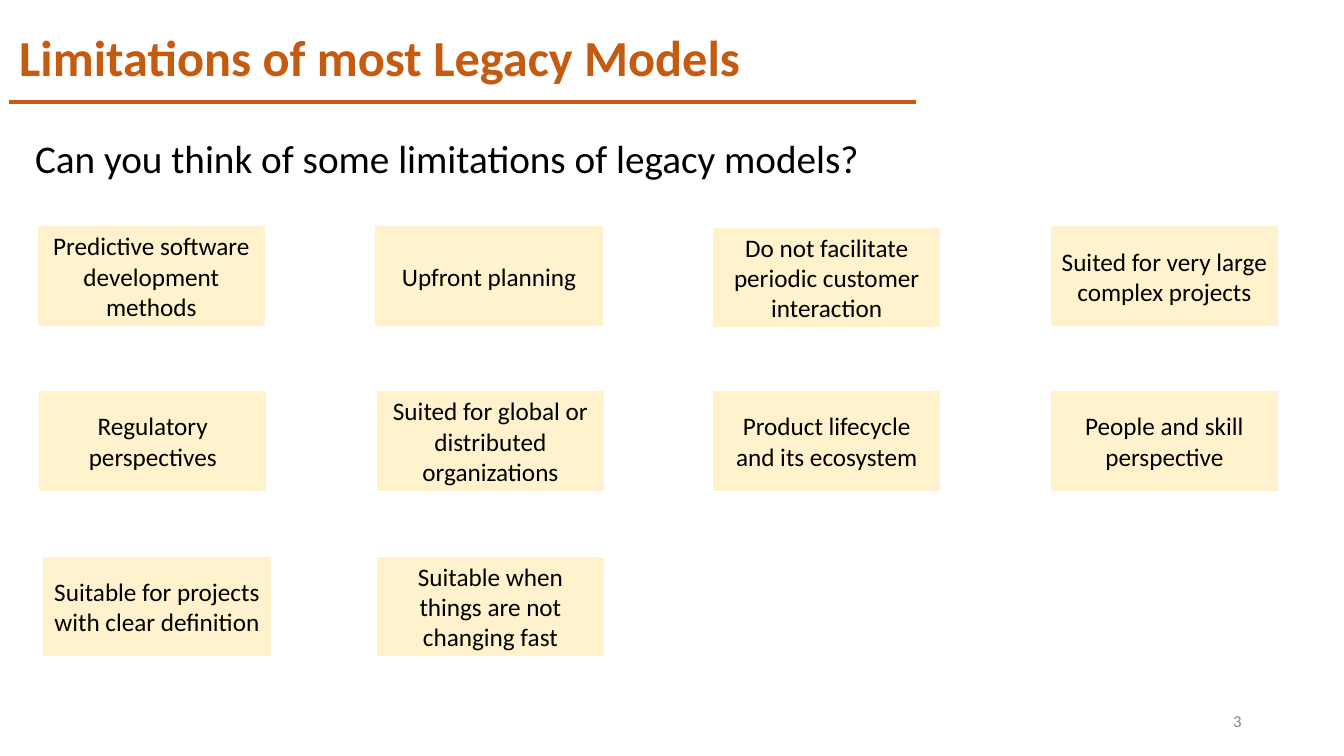
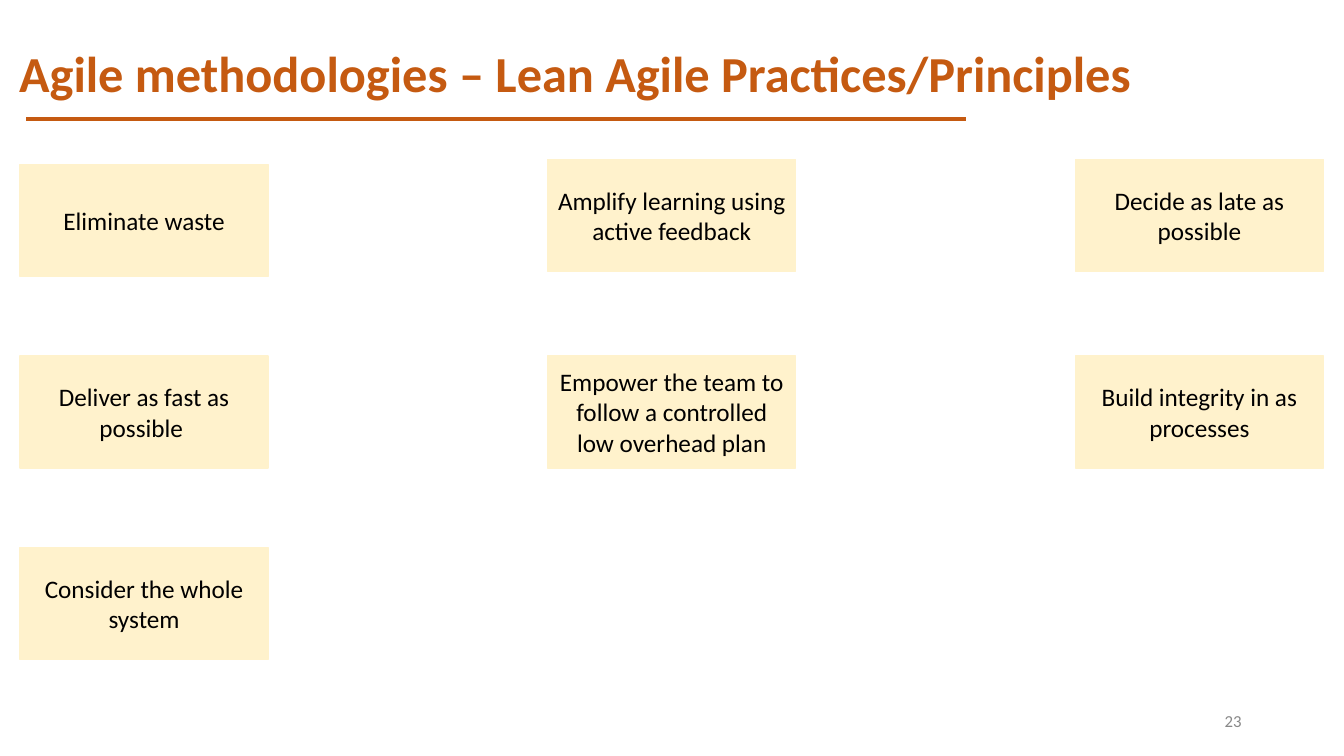
import pptx
import pptx.util
import pptx.dml.color
import pptx.enum.text
import pptx.enum.shapes
import pptx.oxml.ns
import lxml.etree

Pt = pptx.util.Pt
ALIGN = pptx.enum.text.PP_ALIGN
ANCHOR = pptx.enum.text.MSO_ANCHOR
RECT = pptx.enum.shapes.MSO_SHAPE.RECTANGLE
LINE = pptx.enum.shapes.MSO_CONNECTOR.STRAIGHT
FONT = "Calibri"
HEX = {"accent": "C55A11", "card": "FFF2CC", "ink": "000000", "page": "888888"}


def rgb(name):
    return pptx.dml.color.RGBColor.from_string(HEX[name])


def write(shape, text, size=18, color="ink", bold=False,
          align=ALIGN.LEFT, anchor=ANCHOR.TOP):
    frame = shape.text_frame
    frame.word_wrap = True
    frame.auto_size = pptx.enum.text.MSO_AUTO_SIZE.NONE
    frame.vertical_anchor = anchor
    frame.text = text
    para = frame.paragraphs[0]
    para.alignment = align
    font = para.runs[0].font
    font.name, font.size, font.bold = FONT, Pt(size), bold
    font.color.rgb = rgb(color)


# Slide content: cards fill the grid row by row; shift moves a card off it
slides = [
    {
        "title": "Limitations of most Legacy Models",
        "box": (6.5, 15, 648, 36),
        "rule": (6.5, 654.5, 72.7),
        "page": "3",
        "lead": "Can you think of some limitations of legacy models?",
        "lefts": [27.5 + 241.2 * col for col in range(4)],
        "tops": [162.2, 280, 398.2],
        "size": (161.3, 70),
        "cards": [
            "Predictive software development methods",
            "Upfront planning",
            "Do not facilitate periodic customer interaction",
            "Suited for very large complex projects",
            "Regulatory perspectives",
            "Suited for global or distributed organizations",
            "Product lifecycle and its ecosystem",
            "People and skill perspective",
            "Suitable for projects with clear definition",
            "Suitable when things are not changing fast",
        ],
        "shift": {2: (0, 1), 4: (1, 0), 5: (1, 0), 8: (4, 0), 9: (1, 0)},
    },
    {
        "title": "Agile methodologies – Lean Agile Practices/Principles",
        "box": (6.5, 26.6, 850, 36),
        "rule": (18.7, 690, 85),
        "page": "23",
        "lead": None,
        "lefts": [14.4 + 376.9 * col for col in range(3)],
        "tops": [113.8, 254.2, 391],
        "size": (177.1, 80),
        "cards": [
            "Eliminate waste",
            "Amplify learning using active feedback",
            "Decide as late as possible",
            "Deliver as fast as possible ",
            "Empower the team to follow a controlled low overhead plan",
            "Build integrity in as processes",
            "Consider the whole system",
        ],
        "shift": {0: (0, 3.6)},
    },
]

deck = pptx.Presentation()
deck.slide_width, deck.slide_height = Pt(960), Pt(540)

for data in slides:
    slide = deck.slides.add_slide(deck.slide_layouts[5])
    shapes = slide.shapes

    # Title and rule
    title = shapes.title
    title.left, title.top, title.width, title.height = map(Pt, data["box"])
    write(title, data["title"], size=36, color="accent", bold=True)
    start, end, level = map(Pt, data["rule"])
    rule = shapes.add_connector(LINE, start, level, end, level)
    rule.line.color.rgb = rgb("accent")
    rule.line.width = Pt(3)
    props = rule._element.spPr
    lxml.etree.SubElement(props, pptx.oxml.ns.qn("a:effectLst"))

    # Page number
    page = shapes.add_textbox(Pt(678), Pt(500.5), Pt(216), Pt(28.8))
    write(page, data["page"], size=12, color="page",
          align=ALIGN.RIGHT, anchor=ANCHOR.MIDDLE)

    # Lead question
    if data["lead"]:
        lead = shapes.add_textbox(Pt(18), Pt(92.2), Pt(637), Pt(41))
        write(lead, data["lead"], size=28)

    # Card grid
    wide, high = data["size"]
    for spot, text in enumerate(data["cards"]):
        row, col = divmod(spot, len(data["lefts"]))
        right, down = data["shift"].get(spot, (0, 0))
        card = shapes.add_shape(RECT, Pt(data["lefts"][col] + right),
                                Pt(data["tops"][row] + down), Pt(wide), Pt(high))
        card.shadow.inherit = False
        card.fill.solid()
        card.fill.fore_color.rgb = rgb("card")
        card.line.color.rgb = rgb("card")
        card.line.width = Pt(1)
        write(card, text, align=ALIGN.CENTER, anchor=ANCHOR.MIDDLE)

deck.save("out.pptx")
